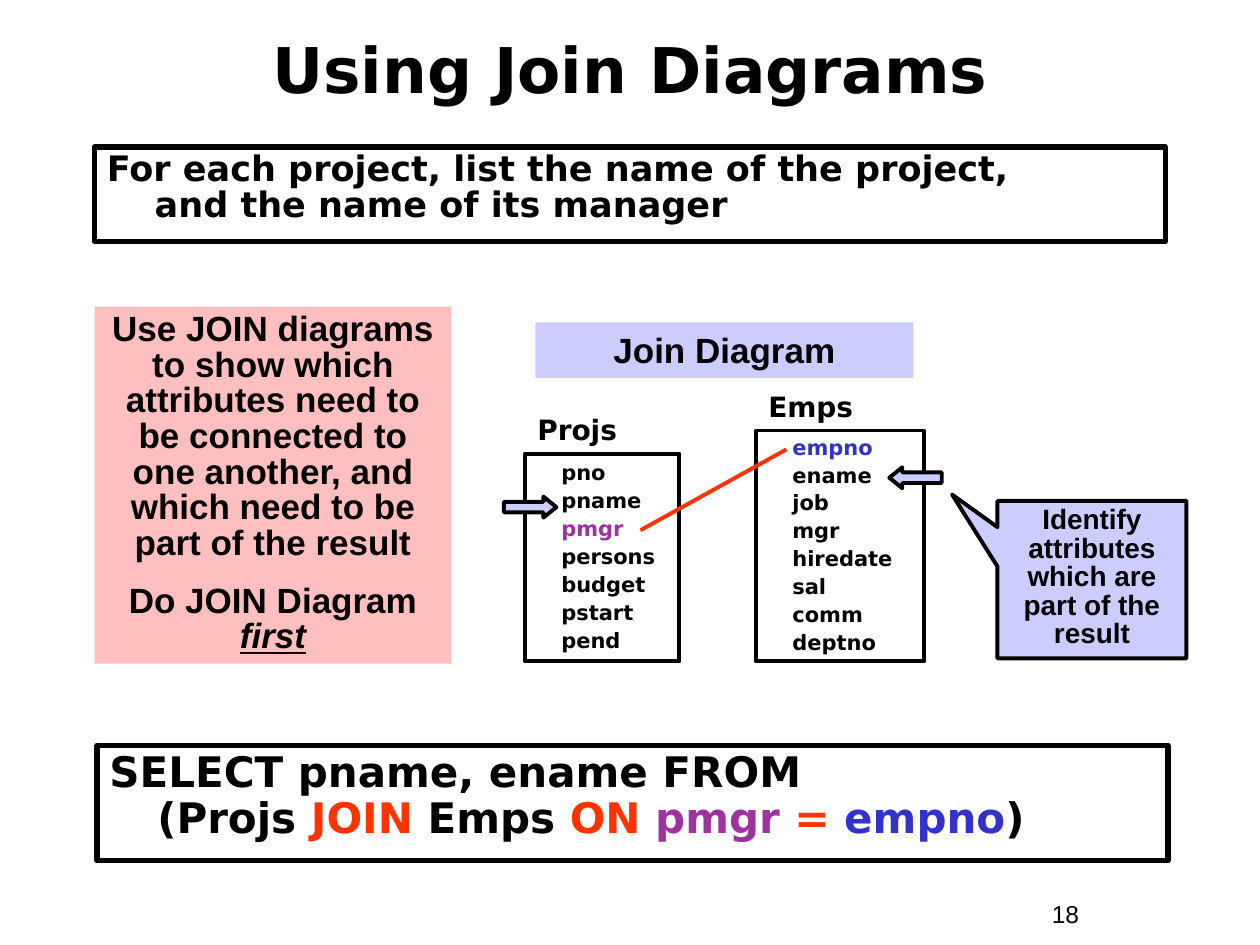
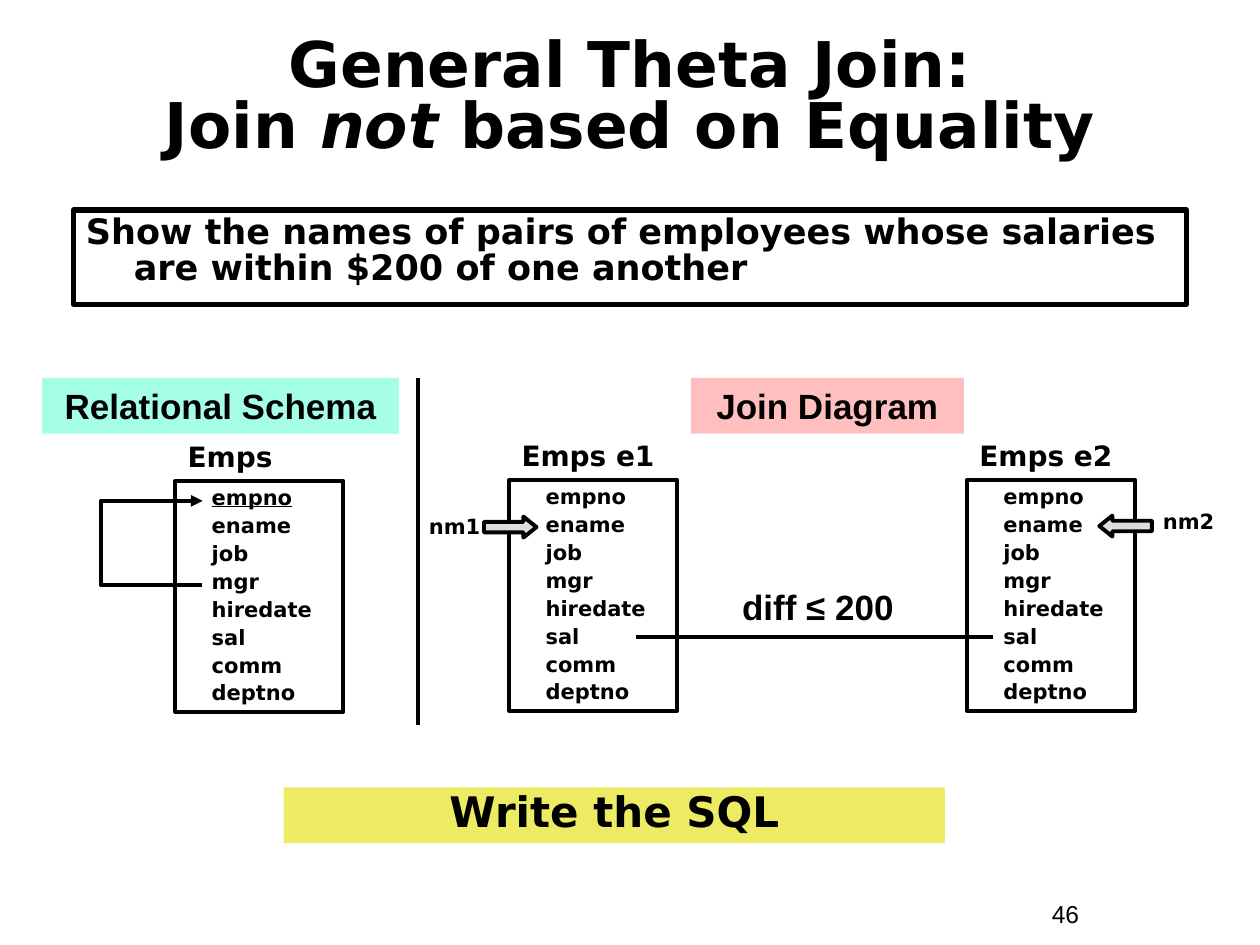
from lxml import etree
from pptx import Presentation
from pptx import util as u
from pptx.dml.color import RGBColor
from pptx.enum import shapes, text
from pptx.oxml.ns import qn

COLORS = {
    "black": "000000", "red": "FF3300", "purple": "9E329E", "blue": "3333CC",
    "lilac": "CCCCFF", "pink": "FFBFBF", "mint": "A5FFE7", "yellow": "EDEA63",
    "gray": "DDDDDD",
}
SANS, ARIAL = "DejaVu Sans", "Arial"
COLUMNS, ROWS = 120, 90
SHAPE, ALIGN, ANCHOR = shapes.MSO_SHAPE, text.PP_ALIGN, text.MSO_ANCHOR
EMPS_FIELDS = ["empno", "ename", "job", "mgr", "hiredate", "sal", "comm", "deptno"]
PROJS_FIELDS = ["pno", "pname", "pmgr", "persons", "budget", "pstart", "pend"]


def rgb(name):
    return RGBColor.from_string(COLORS[name])


class Deck:
    """Slide style plus the slide being built; lengths are columns and rows."""

    def __init__(self):
        self.prs = Presentation()
        self.prs.slide_width, self.prs.slide_height = u.Inches(10), u.Inches(7.5)
        self.slide = None

    def grid(self, left, top, *size):
        """Turn alternating columns and rows into lengths."""
        column = self.prs.slide_width / COLUMNS
        row = self.prs.slide_height / ROWS
        return [round(n * (row if i % 2 else column))
                for i, n in enumerate((left, top, *size))]

    def new_slide(self, title, top, number, spacing=1.0):
        self.slide = self.prs.slides.add_slide(self.prs.slide_layouts[5])
        heading = self.slide.shapes.title
        heading.left, heading.top, heading.width, heading.height = self.grid(4, top, 112, 11)
        self.fill_text(heading, [title], 36, align=ALIGN.CENTER, spacing=spacing,
                       anchor=ANCHOR.MIDDLE)
        self.label((99, 85, 11, 4), number, 14, ARIAL, bold=False)

    def fill_text(self, shape, paragraphs, size, font=SANS, bold=True, align=ALIGN.LEFT,
                  spacing=1.0, gap=0, indent=(0, 0), anchor=ANCHOR.TOP):
        """Fill a shape; a paragraph is a string or a list of (text, style) runs."""
        frame = shape.text_frame
        frame.word_wrap, frame.auto_size = True, text.MSO_AUTO_SIZE.NONE
        frame.vertical_anchor = anchor
        frame.margin_left = frame.margin_right = u.Inches(0.1)
        frame.margin_top = frame.margin_bottom = u.Inches(0.05)
        for i, runs in enumerate(paragraphs):
            paragraph = frame.add_paragraph() if i else frame.paragraphs[0]
            paragraph.alignment, paragraph.line_spacing = align, spacing
            paragraph.space_before = u.Pt(gap if i else 0)
            props = paragraph._p.get_or_add_pPr()
            for key, value in zip(("marL", "indent"), indent):
                props.set(key, str(u.Inches(value)))
            base = paragraph.font
            base.name, base.size, base.bold = font, u.Pt(size), bold
            base.color.rgb = rgb("black")
            for words, style in [(runs, {})] if isinstance(runs, str) else runs:
                self.add_runs(paragraph, words, **style)

    def add_runs(self, paragraph, words, color=None, italic=None, underline=None):
        for i, line in enumerate(words.split("\n")):
            if i:
                paragraph.add_line_break()
            run = paragraph.add_run()
            run.text = line
            if color:
                run.font.color.rgb = rgb(color)
            if italic:
                run.font.italic = True
            if underline:
                run.font.underline = True

    def shape(self, kind, area, fill=None, line=None, adjust=()):
        shape = self.slide.shapes.add_shape(kind, *self.grid(*area))
        shape.shadow.inherit = False
        if fill:
            shape.fill.solid()
            shape.fill.fore_color.rgb = rgb(fill)
        else:
            shape.fill.background()
        if line:
            shape.line.color.rgb, shape.line.width = rgb("black"), u.Pt(line)
        else:
            shape.line.fill.background()
        for i, value in enumerate(adjust):
            shape.adjustments[i] = value
        return shape

    def label(self, area, words, size, font=SANS, **style):
        self.fill_text(self.slide.shapes.add_textbox(*self.grid(*area)), [words],
                       size, font, **style)

    def statement(self, area, words, size, spacing):
        """Framed question or query with a hanging indent."""
        self.fill_text(self.shape(SHAPE.RECTANGLE, area, line=3), [words], size,
                       spacing=spacing, indent=(0.38, -0.38))

    def band(self, area, fill, paragraphs, size=20, font=ARIAL, spacing=1.0):
        self.fill_text(self.shape(SHAPE.RECTANGLE, area, fill), paragraphs, size, font,
                       align=ALIGN.CENTER, spacing=spacing, gap=12.5)

    def relation(self, name, fields, left, top, width=16, height=22, **styles):
        """Named box of fields; styles maps a field to its run style."""
        box = self.shape(SHAPE.RECTANGLE, (left, top, width, height), line=2.25)
        self.fill_text(box, [[(field, styles.get(field, {}))] for field in fields], 12,
                       spacing=0.9, gap=3, indent=(0.19, 0), anchor=ANCHOR.MIDDLE)
        self.label((left, top - 4.15, 16.3, 4.1), name, 16, spacing=0.9)

    def result_arrow(self, kind, left, top, fill):
        self.shape(kind, (left, top, 5, 2), fill, 2.25, (0.5, 0.62))

    def line(self, start, end, color="black", bend=None, arrow=False):
        """Straight line, or an elbow bent at a multiple of its width."""
        kinds = shapes.MSO_CONNECTOR
        link = self.slide.shapes.add_connector(
            kinds.STRAIGHT if bend is None else kinds.ELBOW,
            *self.grid(*start, *end))
        link.line.color.rgb, link.line.width = rgb(color), u.Pt(2.25)
        props = link._element.spPr
        if bend is not None:
            guides = props.find(qn("a:prstGeom")).find(qn("a:avLst"))
            etree.SubElement(guides, qn("a:gd"), name="adj1",
                             fmla=f"val {round(bend * 100000)}")
        if arrow:
            etree.SubElement(props.find(qn("a:ln")), qn("a:tailEnd"), type="triangle")
        etree.SubElement(props, qn("a:effectLst"))


def join_diagrams(deck):
    deck.new_slide("Using Join Diagrams", 1, "18")
    deck.statement((9, 14, 102, 9), "For each project, list the name of the project,\n"
                   "and the name of its manager", 20, 0.85)

    # Advice
    deck.band((9, 29.2, 34, 34), "pink", [
        "Use JOIN diagrams to show which attributes need to be connected to one "
        "another, and which need to be part of the result",
        [("Do JOIN Diagram ", {}), ("first", {"italic": True, "underline": True})],
    ], spacing=0.85)

    # Diagram
    deck.band((51, 30.7, 36, 5.3), "lilac", ["Join Diagram"])
    deck.relation("Emps", EMPS_FIELDS, 72, 41, empno={"color": "blue"})
    deck.relation("Projs", PROJS_FIELDS, 50, 43.2, 14.7, 19.8, pmgr={"color": "purple"})
    deck.result_arrow(SHAPE.LEFT_ARROW, 84.7, 44.5, "lilac")
    deck.result_arrow(SHAPE.RIGHT_ARROW, 48, 47.3, "lilac")
    deck.line((61, 50.5), (74.9, 42.8), "red")
    callout = deck.shape(SHAPE.RECTANGULAR_CALLOUT, (95, 47.7, 18, 15), "lilac", 2.25,
                         (-0.74, -0.54))
    deck.fill_text(callout, ["Identify attributes which are part of the result"], 16, ARIAL,
                   align=ALIGN.CENTER, spacing=0.85)

    # Query
    keyword = {"color": "red"}
    deck.statement((9.25, 71, 102, 11), [
        ("SELECT pname, ename FROM\n(Projs ", {}), ("JOIN", keyword), (" Emps ", {}),
        ("ON ", keyword), ("pmgr ", {"color": "purple"}), ("=", keyword),
        (" empno", {"color": "blue"}), (")", {}),
    ], 24, 0.9)


def theta_join(deck):
    deck.new_slide([("General Theta Join:\nJoin ", {}), ("not", {"italic": True}),
                    (" based on Equality", {})], 4, "46", spacing=0.8)
    deck.statement((7, 20, 106, 9), "Show the names of pairs of employees whose salaries "
                   "are within $200 of one another", 20, 0.85)

    # Schema, with managers referring back to employees
    deck.band((4, 36, 34, 5.3), "mint", ["Relational Schema"])
    deck.relation("Emps", EMPS_FIELDS, 16.7, 45.8, empno={"underline": True})
    deck.line((19.2, 55.7), (19.3, 47.7), bend=-97, arrow=True)
    deck.line((39.8, 36), (39.8, 69))

    # Diagram
    deck.band((65.8, 36, 26, 5.3), "pink", ["Join Diagram"])
    for name, left in (("Emps e1", 48.5), ("Emps e2", 92.1)):
        deck.relation(name, EMPS_FIELDS, left, 45.7)
    deck.line((60.6, 60.7), (94.6, 60.7))
    deck.label((69.4, 55.2, 17, 5.3), "diff ≤ 200", 20, ARIAL, align=ALIGN.CENTER)
    deck.result_arrow(SHAPE.RIGHT_ARROW, 46.1, 49.2, "gray")
    deck.result_arrow(SHAPE.LEFT_ARROW, 104.7, 49.1, "gray")
    for name, left, top in (("nm1", 37.8, 48.7), ("nm2", 107.7, 48.2)):
        deck.label((left, top, 11, 3.2), name, 12, align=ALIGN.CENTER, spacing=0.85)

    # Task
    deck.band((27, 75, 63, 5.3), "yellow", ["Write the SQL"], 24, SANS, 0.85)


def main():
    deck = Deck()
    join_diagrams(deck)
    theta_join(deck)
    deck.prs.save("out.pptx")


if __name__ == "__main__":
    main()
